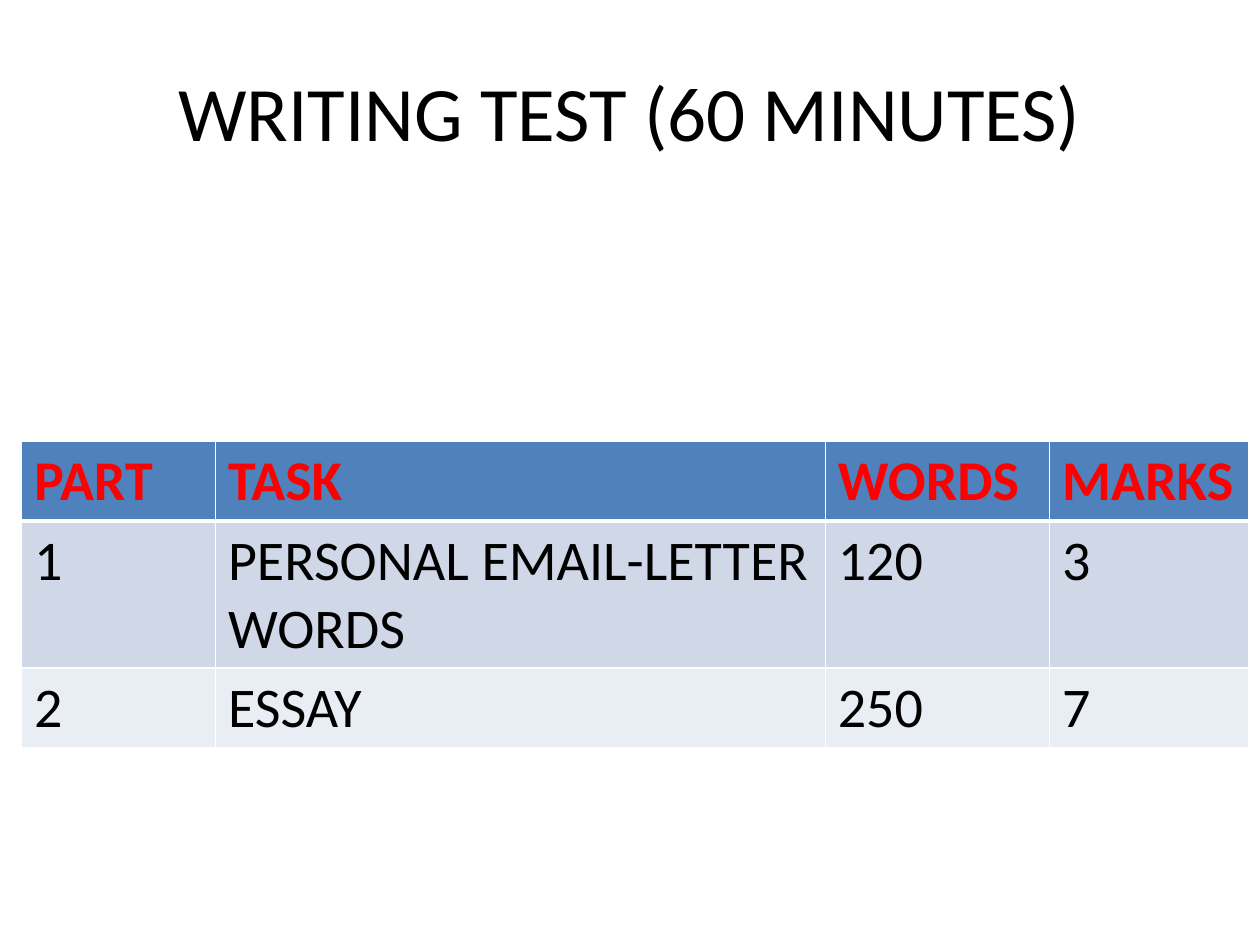
from lxml import etree
from pptx import Presentation
from pptx import util as u
from pptx.dml.color import RGBColor
from pptx.enum import text
from pptx.oxml.ns import qn

BLACK = RGBColor(0x00, 0x00, 0x00)
RED = RGBColor(0xFF, 0x00, 0x00)
WHITE = RGBColor(0xFF, 0xFF, 0xFF)
HEADER_BLUE = RGBColor(0x4F, 0x81, 0xBD)
BANDS = (RGBColor(0xD0, 0xD8, 0xE8), RGBColor(0xE9, 0xED, 0xF4))

# Grid of 20 columns by 30 rows: half an inch by a quarter inch
COLUMN, ROW = u.Inches(0.5), u.Inches(0.25)

TEST_PARTS = [
    ("PART", "TASK", "WORDS", "MARKS"),
    ("1", "PERSONAL EMAIL-LETTER WORDS", "120", "3"),
    ("2", "ESSAY", "250", "7"),
]


class SlideBuilder:
    """Holds the style and the current slide."""

    font_name = "Calibri"
    title_size = 44
    table_size = 32

    def __init__(self, slide):
        self.slide = slide

    def place(self, left, top, width, height):
        return [round(n) for n in (left * COLUMN, top * ROW, width * COLUMN, height * ROW)]

    def style(self, para, size, color, bold=False):
        para.font.name = self.font_name
        para.font.size = u.Pt(size)
        para.font.bold = bold
        para.font.color.rgb = color

    def title(self, wording, *area):
        box = self.slide.shapes.add_textbox(*self.place(*area))
        frame = box.text_frame
        frame.word_wrap = True
        frame.vertical_anchor = text.MSO_ANCHOR.MIDDLE
        frame.text = wording
        para = frame.paragraphs[0]
        para.alignment = text.PP_ALIGN.CENTER
        self.style(para, self.title_size, BLACK)

    def borders(self, cell, **widths):
        properties = cell._tc.get_or_add_tcPr()
        for side in "LRTB":
            line = etree.SubElement(properties, qn(f"a:ln{side}"), w=str(u.Pt(widths.get(side, 1))))
            fill = etree.SubElement(line, qn("a:solidFill"))
            etree.SubElement(fill, qn("a:srgbClr"), val=str(WHITE))

    def table(self, rows, column_widths, row_height, left, top):
        area = self.place(left, top, sum(column_widths), row_height * len(rows))
        table = self.slide.shapes.add_table(len(rows), len(column_widths), *area).table
        for column, width in zip(table.columns, column_widths):
            column.width = round(width * COLUMN)
        for r, wordings in enumerate(rows):
            header = r == 0
            table.rows[r].height = round(row_height * ROW)
            for c, wording in enumerate(wordings):
                cell = table.cell(r, c)
                # A heavier rule divides the header from the body
                self.borders(cell, B=3 if header else 1, T=3 if r == 1 else 1)
                cell.fill.solid()
                cell.fill.fore_color.rgb = HEADER_BLUE if header else BANDS[(r - 1) % 2]
                cell.text = wording
                self.style(cell.text_frame.paragraphs[0], self.table_size,
                           RED if header else BLACK, header)


def main():
    deck = Presentation()
    deck.slide_width, deck.slide_height = 20 * COLUMN, 30 * ROW
    page = SlideBuilder(deck.slides.add_slide(deck.slide_layouts[6]))

    # Heading
    page.title("WRITING TEST (60 MINUTES)", 1, 1, 18, 5)

    # Parts of the test
    page.table(TEST_PARTS, (3.08, 9.68, 3.56, 3.16), 1.64, left=0.34, top=14)

    deck.save("out.pptx")


if __name__ == "__main__":
    main()
